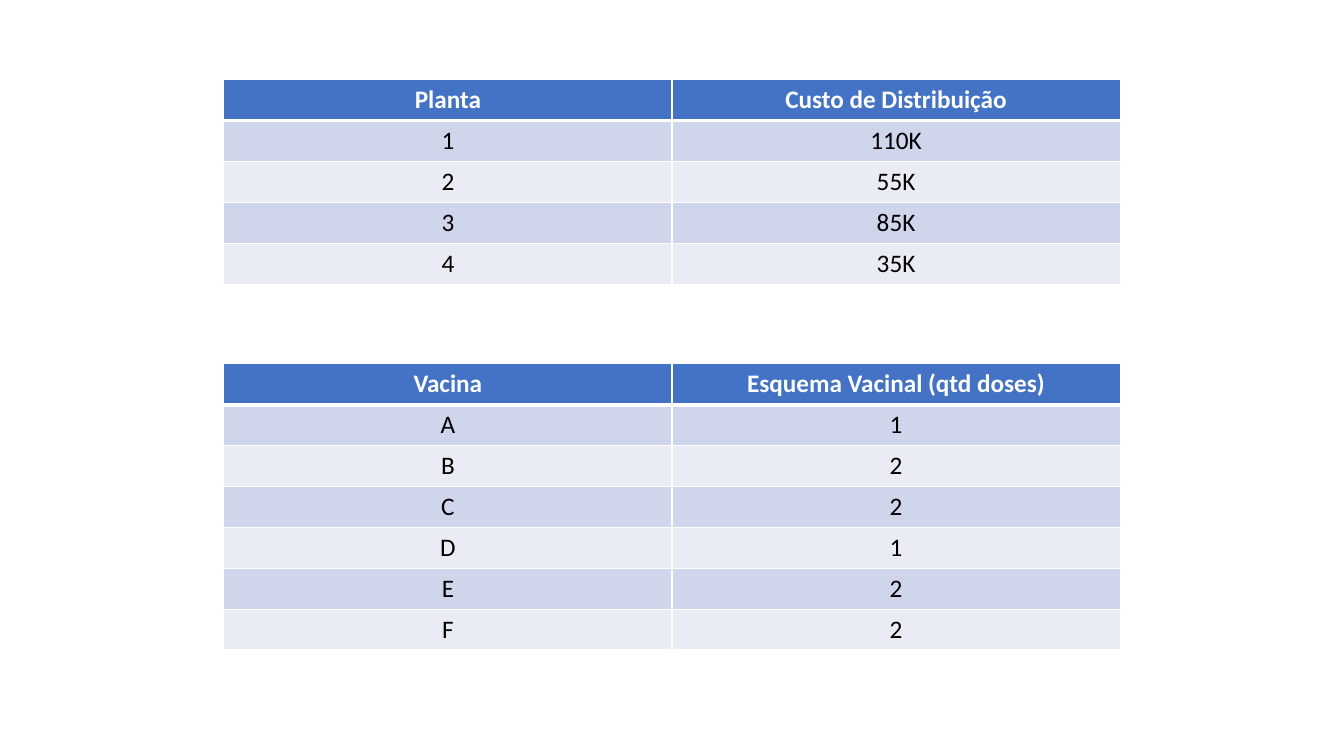
from lxml import etree
from pptx import Presentation
from pptx import util as u
from pptx.dml.color import RGBColor
from pptx.enum import text
from pptx.oxml.ns import qn

COLORS = {
    "header": "4472C4",
    "odd": "CFD5EA",
    "even": "E9EBF5",
    "white": "FFFFFF",
    "black": "000000",
}


class SlideBuilder:
    """Holds the style and the current slide."""

    font, size = "Calibri", 18
    left, width = 2.22, 8.89

    def __init__(self, slide):
        self.slide = slide

    def border(self, cell, side, points):
        ln = etree.SubElement(cell._tc.get_or_add_tcPr(), qn(f"a:ln{side}"),
                              w=str(u.Pt(points)))
        fill = etree.SubElement(ln, qn("a:solidFill"))
        etree.SubElement(fill, qn("a:srgbClr"), val=COLORS["white"])

    def cell(self, cell, value, row):
        header = row == 0
        # Borders come before the fill in the cell properties
        widths = {"L": 1, "R": 1, "T": 3 if row == 1 else 1, "B": 3 if header else 1}
        for side, points in widths.items():
            self.border(cell, side, points)
        fill = "header" if header else "odd" if row % 2 else "even"
        cell.fill.solid()
        cell.fill.fore_color.rgb = RGBColor.from_string(COLORS[fill])

        p = cell.text_frame.paragraphs[0]
        p.text = value
        p.alignment = text.PP_ALIGN.CENTER
        font = p.runs[0].font
        font.name, font.size, font.bold = self.font, u.Pt(self.size), header
        font.color.rgb = RGBColor.from_string(COLORS["white" if header else "black"])

    def table(self, top, height, rows):
        table = self.slide.shapes.add_table(
            len(rows), len(rows[0]), u.Inches(self.left), u.Inches(top),
            u.Inches(self.width), u.Inches(height)).table
        for i, row in enumerate(rows):
            for j, value in enumerate(row):
                self.cell(table.cell(i, j), value, i)


def main():
    prs = Presentation()
    prs.slide_width, prs.slide_height = u.Inches(13.33), u.Inches(7.5)
    builder = SlideBuilder(prs.slides.add_slide(prs.slide_layouts[6]))

    # Distribution cost per plant
    builder.table(0.79, 2.03, [
        ("Planta", "Custo de Distribuição"),
        ("1", "110K"),
        ("2", "55K"),
        ("3", "85K"),
        ("4", "35K"),
    ])

    # Doses per vaccine
    builder.table(3.61, 2.84, [
        ("Vacina", "Esquema Vacinal (qtd doses)"),
        *zip("ABCDEF", "122122"),
    ])

    prs.save("out.pptx")


if __name__ == "__main__":
    main()
